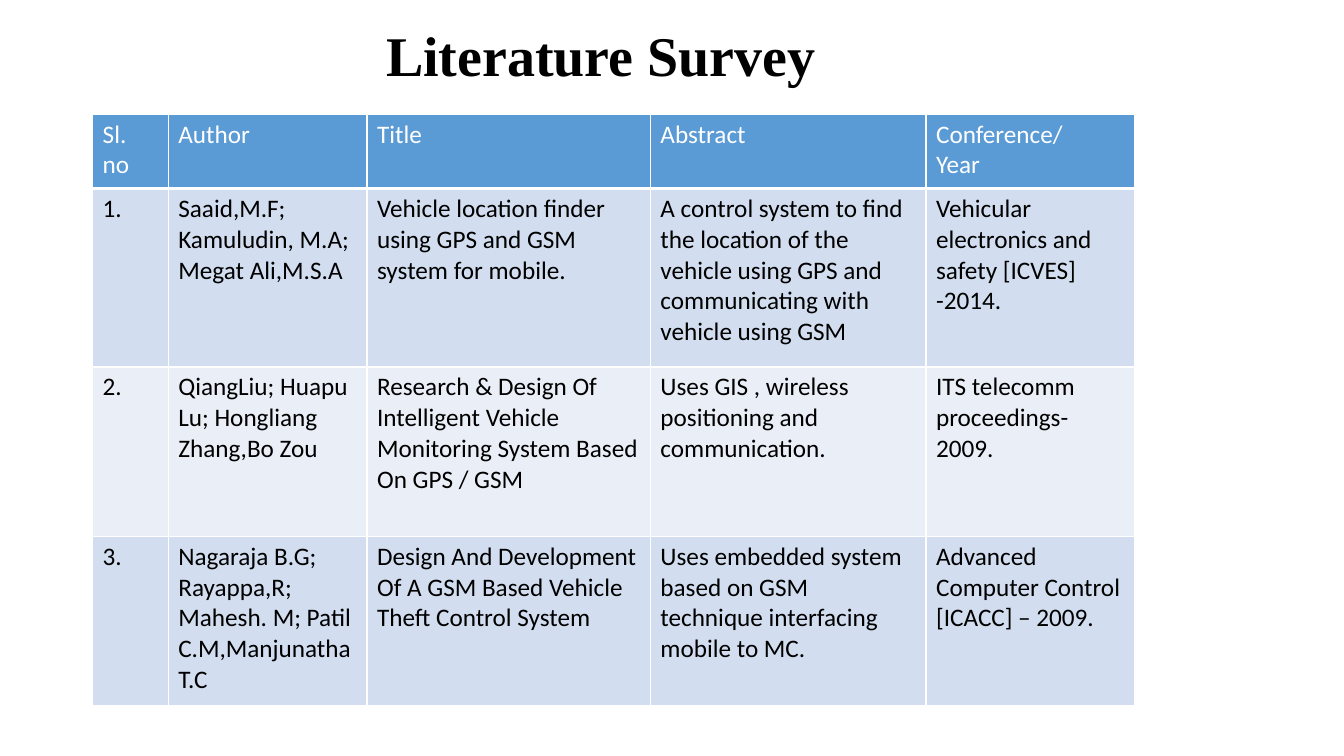
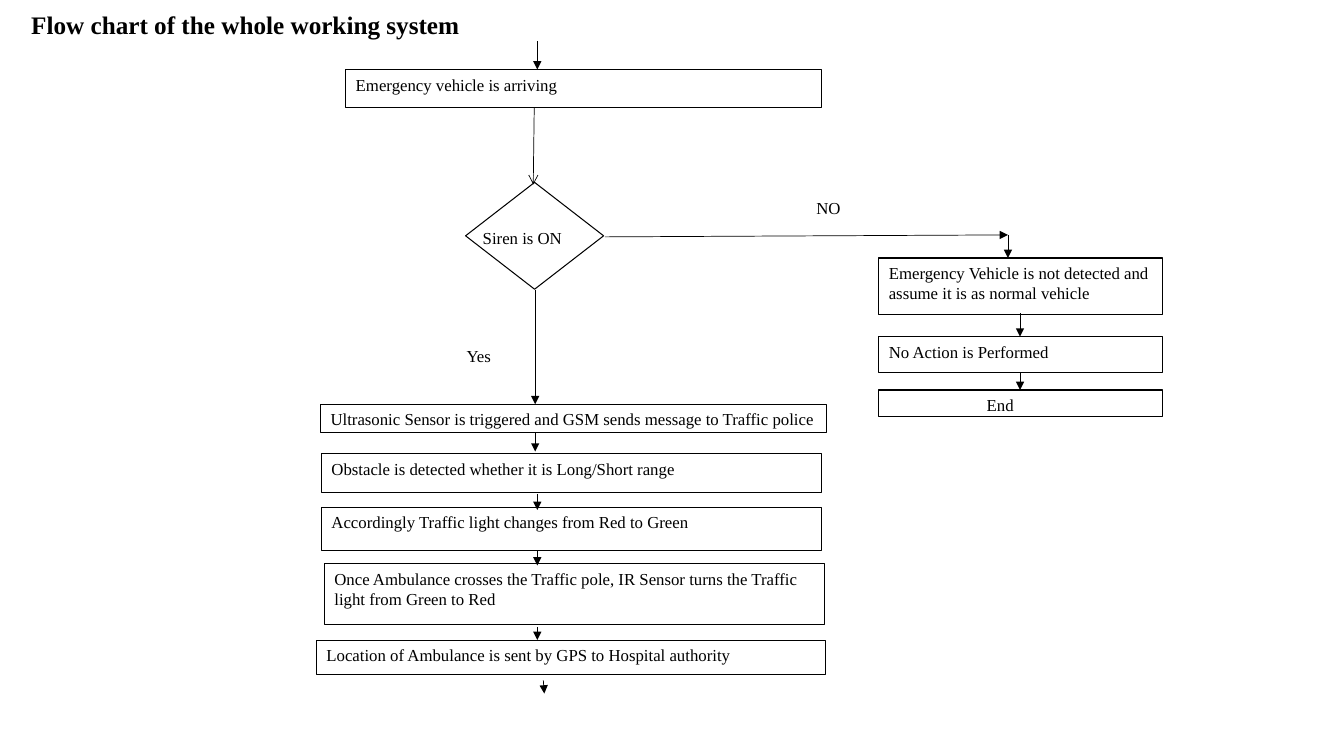
from typing import NamedTuple

from lxml.etree import SubElement
from pptx import Presentation
from pptx.dml.color import RGBColor
from pptx.enum.shapes import MSO_CONNECTOR, MSO_SHAPE
from pptx.enum.text import MSO_ANCHOR, MSO_AUTO_SIZE, PP_ALIGN
from pptx.oxml.ns import qn
from pptx.slide import Slide
from pptx.table import _Cell
from pptx.text.text import TextFrame
from pptx.util import Pt

COLORS = {
    "ink": "000000",
    "paper": "FFFFFF",
    "header": "5B9BD5",
    "odd_row": "D2DEEF",
    "even_row": "EAEFF7",
}
SERIF = "Times New Roman"
SANS = "Calibri"
TITLE_ONLY = 5


class Area(NamedTuple):
    left: float
    top: float
    width: float
    height: float


class FlowBox(NamedTuple):
    area: Area
    text: str = ""
    shape: MSO_SHAPE = MSO_SHAPE.RECTANGLE
    indent: float = 7.2


class FlowArrow(NamedTuple):
    start_x: float
    start_y: float
    end_x: float
    end_y: float
    head: str = "triangle"


class Label(NamedTuple):
    area: Area
    text: str
    line_spacing: float = 1.0


TABLE_AREA = Area(66.2, 81.4, 744.5, 422.7)
COLUMN_WIDTHS = [54, 142, 202.4, 196.9, 149.2]
ROW_HEIGHTS = [53.3, 127.4, 121, 121]
SURVEY = [
    ["Sl. no", "Author", "Title", "Abstract", "Conference/\nYear"],
    ["1.", "Saaid,M.F; Kamuludin, M.A;\nMegat Ali,M.S.A",
     "Vehicle location finder using GPS and GSM system for mobile.",
     "A control system to find the location of the vehicle using GPS and "
     "communicating with vehicle using GSM",
     "Vehicular electronics and safety [ICVES] -2014."],
    ["2.", "QiangLiu; Huapu Lu; Hongliang Zhang,Bo Zou",
     "Research & Design Of Intelligent Vehicle Monitoring System Based On GPS / GSM",
     "Uses GIS , wireless positioning and communication.",
     "ITS telecomm proceedings- 2009."],
    ["3.", "Nagaraja B.G;\nRayappa,R; Mahesh. M; Patil C.M,Manjunatha T.C",
     "Design And Development Of A GSM Based Vehicle Theft Control System",
     "Uses embedded system based on GSM technique interfacing mobile to MC.",
     "Advanced Computer Control [ICACC] – 2009."],
]

SIDE_LEFT, SIDE_WIDTH = 627.8, 202.3
FLOW_BOXES = [
    FlowBox(Area(247, 49.7, 339.8, 27.4), "Emergency vehicle is arriving"),
    FlowBox(Area(332.6, 130.3, 98.6, 76.3), shape=MSO_SHAPE.DIAMOND),
    FlowBox(Area(SIDE_LEFT, 184.3, SIDE_WIDTH, 40.3),
            "Emergency Vehicle is not detected and assume it is as normal vehicle"),
    FlowBox(Area(SIDE_LEFT, 240.5, SIDE_WIDTH, 25.9), "No Action is Performed"),
    FlowBox(Area(SIDE_LEFT, 278.6, SIDE_WIDTH, 18.7), "End", indent=77),
    FlowBox(Area(229, 288.7, 361.4, 20.2),
            "Ultrasonic Sensor is triggered and GSM sends message to Traffic police"),
    FlowBox(Area(229.7, 324, 357.1, 28.1),
            "Obstacle is detected whether it is Long/Short range"),
    FlowBox(Area(229.7, 362.2, 357.1, 31),
            "Accordingly Traffic light changes from Red to Green"),
    FlowBox(Area(231.8, 402.5, 357.1, 43.9),
            "Once Ambulance crosses the Traffic pole, IR Sensor turns the Traffic "
            "light from Green to Red"),
    FlowBox(Area(226.1, 457.2, 363.6, 24.5),
            "Location of Ambulance is sent by GPS to Hospital authority"),
]

MAIN_X, SIREN_X, SIDE_X = 383.8, 382.3, 728.6
FLOW_ARROWS = [
    FlowArrow(MAIN_X, 29.5, MAIN_X, 49.7),
    FlowArrow(381.6, 77, 380.9, 131.8, "arrow"),
    FlowArrow(SIREN_X, 207.4, SIREN_X, 288.7),
    FlowArrow(SIREN_X, 309.6, SIREN_X, 322.6),
    FlowArrow(MAIN_X, 352.8, MAIN_X, 364.3),
    FlowArrow(MAIN_X, 393.1, MAIN_X, 403.9),
    FlowArrow(MAIN_X, 447.8, MAIN_X, 457.2),
    FlowArrow(388.1, 486, 388.8, 495.4),
    FlowArrow(432, 169.2, 720, 167.8),
    FlowArrow(720, 167.8, 720, 184.3),
    FlowArrow(SIDE_X, 223.9, SIDE_X, 240.5),
    FlowArrow(SIDE_X, 266.4, SIDE_X, 278.6),
]
LABELS = [
    Label(Area(337.7, 157, 76, 23.8), "Siren is ON", 1.15),
    Label(Area(576, 137.5, 41, 21.6), "NO"),
    Label(Area(326.2, 243.4, 62.6, 21.6), "Yes"),
]


def color(name: str) -> RGBColor:
    return RGBColor.from_string(COLORS[name])


def in_points(area: Area) -> list[Pt]:
    return [Pt(length) for length in area]


def write_text(text_frame: TextFrame, text: str, size: float, font: str = SERIF,
               color_name: str = "ink", bold: bool = False,
               line_spacing: float = 1.0) -> None:
    text_frame.text = text
    text_frame.word_wrap = True
    for paragraph in text_frame.paragraphs:
        paragraph.alignment = PP_ALIGN.LEFT
        paragraph.line_spacing = line_spacing
        for run in paragraph.runs:
            run.font.name = font
            run.font.size = Pt(size)
            run.font.bold = bold
            run.font.color.rgb = color(color_name)


def add_titled_slide(presentation: Presentation, title: str, area: Area,
                     size: float, line_spacing: float = 1.0) -> Slide:
    slide = presentation.slides.add_slide(presentation.slide_layouts[TITLE_ONLY])
    shape = slide.shapes.title
    shape.left, shape.top, shape.width, shape.height = in_points(area)
    write_text(shape.text_frame, title, size, bold=True, line_spacing=line_spacing)
    shape.text_frame.vertical_anchor = MSO_ANCHOR.TOP
    shape.text_frame.auto_size = MSO_AUTO_SIZE.NONE
    return slide


def set_borders(cell: _Cell, bottom_width: float) -> None:
    properties = cell._tc.get_or_add_tcPr()
    widths = {"a:lnL": 1, "a:lnR": 1, "a:lnT": 1, "a:lnB": bottom_width}
    for position, (tag, width) in enumerate(widths.items()):
        line = SubElement(properties, qn(tag), w=str(Pt(width)))
        fill = SubElement(line, qn("a:solidFill"))
        SubElement(fill, qn("a:srgbClr"), val=COLORS["paper"])
        properties.insert(position, line)


def add_survey_table(slide: Slide) -> None:
    table = slide.shapes.add_table(
        len(SURVEY), len(COLUMN_WIDTHS), *in_points(TABLE_AREA)).table
    table.horz_banding = False
    for column, width in zip(table.columns, COLUMN_WIDTHS):
        column.width = Pt(width)
    for index, (row, height) in enumerate(zip(table.rows, ROW_HEIGHTS)):
        row.height = Pt(height)
        is_header = index == 0
        fill_name = "header" if is_header else "odd_row" if index % 2 else "even_row"
        for cell, text in zip(row.cells, SURVEY[index]):
            write_text(cell.text_frame, text, 18, SANS, "paper" if is_header else "ink")
            cell.fill.solid()
            cell.fill.fore_color.rgb = color(fill_name)
            set_borders(cell, 3 if is_header else 1)


def add_flow_box(slide: Slide, box: FlowBox) -> None:
    shape = slide.shapes.add_shape(box.shape, *in_points(box.area))
    shape.shadow.inherit = False
    shape.fill.solid()
    shape.fill.fore_color.rgb = color("paper")
    shape.line.color.rgb = color("ink")
    shape.line.width = Pt(0.75)
    if box.text:
        write_text(shape.text_frame, box.text, 12)
        shape.text_frame.vertical_anchor = MSO_ANCHOR.TOP
        shape.text_frame.margin_left = Pt(box.indent)
        shape.text_frame.paragraphs[0].space_after = Pt(10)


def add_flow_arrow(slide: Slide, arrow: FlowArrow) -> None:
    connector = slide.shapes.add_connector(
        MSO_CONNECTOR.STRAIGHT, Pt(arrow.start_x), Pt(arrow.start_y),
        Pt(arrow.end_x), Pt(arrow.end_y))
    connector.line.color.rgb = color("ink")
    connector.line.width = Pt(0.5)
    SubElement(connector.line._get_or_add_ln(), qn("a:tailEnd"), type=arrow.head)
    SubElement(connector._element.spPr, qn("a:effectLst"))


def add_label(slide: Slide, label: Label) -> None:
    text_box = slide.shapes.add_textbox(*in_points(label.area))
    write_text(text_box.text_frame, label.text, 12, line_spacing=label.line_spacing)


def main() -> None:
    presentation = Presentation()
    presentation.slide_width = Pt(960)
    presentation.slide_height = Pt(540)

    survey_slide = add_titled_slide(
        presentation, "Literature Survey", Area(268.6, 10.8, 344.9, 55.4), 40)
    add_survey_table(survey_slide)

    flow_slide = add_titled_slide(
        presentation, "Flow chart of the whole working system",
        Area(15.1, 0, 329, 31), 18, line_spacing=1.15)
    for box in FLOW_BOXES:
        add_flow_box(flow_slide, box)
    for arrow in FLOW_ARROWS:
        add_flow_arrow(flow_slide, arrow)
    for label in LABELS:
        add_label(flow_slide, label)

    presentation.save("out.pptx")


if __name__ == "__main__":
    main()
